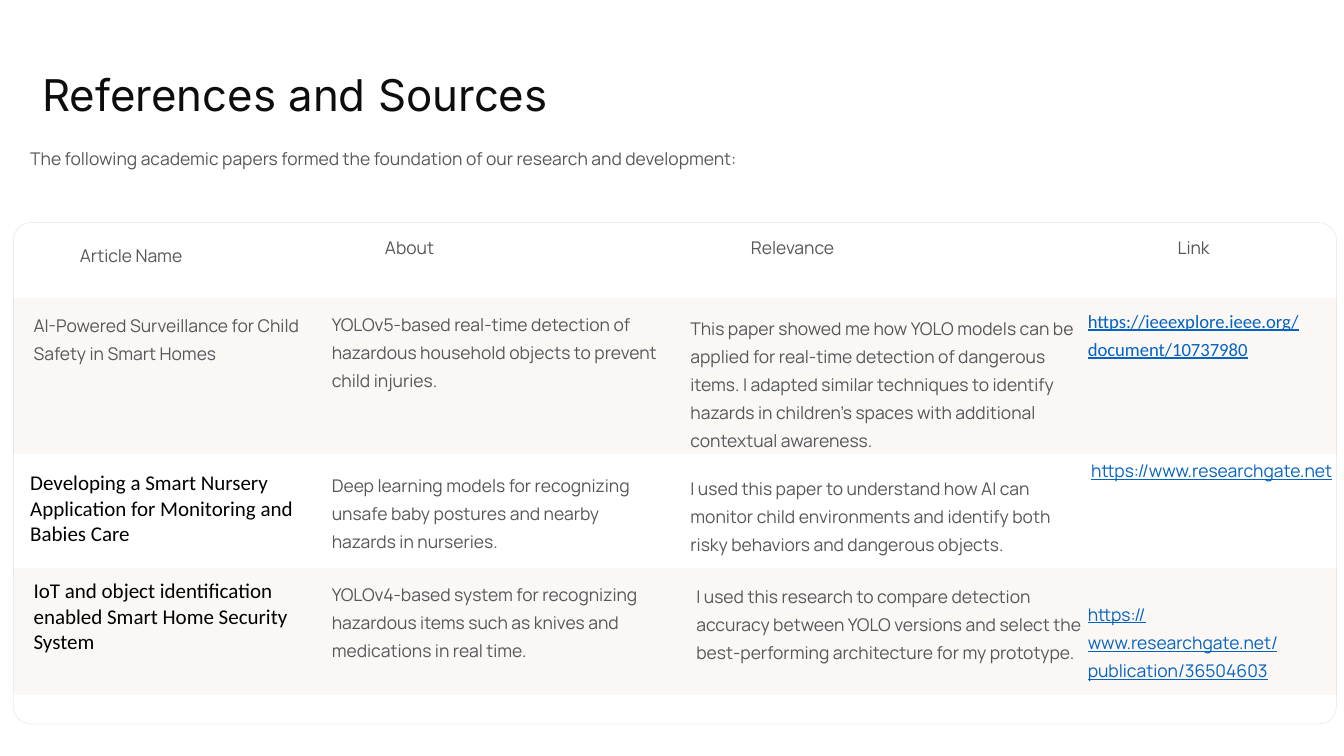
from lxml import etree
from pptx import Presentation
from pptx import util as u
from pptx.dml.color import RGBColor
from pptx.enum import shapes, text
from pptx.oxml import ns

Pt = u.Pt
COLORS = {"title": "0C0D0F", "body": "55575A", "name": "000000",
          "link": "0563C1", "frame": "000000", "band": "843C0B"}
NO_GRID_STYLE = "{2D5ABB26-0587-4C30-8999-92F81FD0307C}"
LEFT, TOP = 11.5, 190.8
COLUMN_WIDTHS = [268.5, 308, 344, 213.5]
ROW_HEIGHTS = [64.8, 133.2, 97.9, 108.7]

# Text styles: font, size, colour, line spacing, underline
STYLES = {
    "title": ("Inter", 37.5, "title", Pt(47), False),
    "body": ("Manrope", 15, "body", Pt(24), False),
    "name": ("Calibri", 18, "name", 1.0, False),
    "link": ("Manrope", 15, "link", Pt(24), True),
    "paper link": ("Calibri", 16, "link", Pt(24), True),
}


def write(box, content, style, left=0, top=0, right=0):
    font_name, size, color, spacing, underline = STYLES[style]
    box.margin_left, box.margin_top = Pt(left), Pt(top)
    box.margin_right, box.margin_bottom = Pt(right), 0
    box.vertical_anchor = text.MSO_ANCHOR.TOP
    text_frame = getattr(box, "text_frame", box)
    text_frame.text = content
    paragraph = text_frame.paragraphs[0]
    paragraph.alignment = text.PP_ALIGN.LEFT
    paragraph.line_spacing = spacing
    font = paragraph.runs[0].font
    font.name = font_name
    font.size = Pt(size)
    font.underline = underline
    font.color.rgb = RGBColor.from_string(COLORS[color])


def paint(fill, color, opacity):
    fill.solid()
    fill.fore_color.rgb = RGBColor.from_string(COLORS[color])
    for rgb in fill._xPr.iter(ns.qn("a:srgbClr")):
        etree.SubElement(rgb, ns.qn("a:alpha")).set("val", str(opacity * 1000))


presentation = Presentation()
presentation.slide_width, presentation.slide_height = Pt(1152), Pt(648)
slide = presentation.slides.add_slide(presentation.slide_layouts[5])

# Title and introduction
title = slide.shapes.title
title.left, title.top, title.width, title.height = Pt(36), Pt(56), Pt(436), Pt(47)
intro = slide.shapes.add_textbox(Pt(25.9), Pt(121), Pt(1046), Pt(24))
for shape, content, style in [
    (title, "References and Sources", "title"),
    (intro, "The following academic papers formed the foundation of our "
            "research and development:", "body"),
]:
    write(shape.text_frame, content, style)
    shape.text_frame.word_wrap = False
    shape.text_frame.auto_size = text.MSO_AUTO_SIZE.NONE

# Rounded frame
frame = slide.shapes.add_shape(shapes.MSO_SHAPE.ROUNDED_RECTANGLE,
                               Pt(LEFT), Pt(TOP), Pt(1134), Pt(429.8))
frame.adjustments[0] = 0.035
frame.shadow.inherit = False
frame.fill.background()
paint(frame.line.fill, "frame", 8)
frame.line.width = Pt(0.6)

# Tinted bands behind the first and third papers
for row_index in (1, 3):
    band = slide.shapes.add_shape(
        shapes.MSO_SHAPE.RECTANGLE, Pt(LEFT), Pt(TOP + sum(ROW_HEIGHTS[:row_index])),
        Pt(sum(COLUMN_WIDTHS)), Pt(ROW_HEIGHTS[row_index]))
    band.shadow.inherit = False
    band.line.fill.background()
    paint(band.fill, "band", 4)

# Table cells: left, top and right margin, text, style
ROWS = [
    [(57, 14.5, 0, "Article Name", "body"),
     (50, 8, 0, "About", "body"),
     (55.7, 8, 0, "Relevance", "body"),
     (77.4, 8, 0, "Link", "body")],
    [(17.3, 10.1, 20, "AI-Powered Surveillance for Child Safety in Smart Homes", "body"),
     (4.4, 9, 20, "YOLOv5-based real-time detection of hazardous household "
                  "objects to prevent child injuries.", "body"),
     (3.8, 12.3, 0, "This paper showed me how YOLO models can be applied for "
                    "real-time detection of dangerous items. I adapted similar "
                    "techniques to identify hazards in children's spaces with "
                    "additional contextual awareness.", "body"),
     (0.4, 6, 0, "https://ieeexplore.ieee.org/document/10737980", "paper link")],
    [(14.4, 14.4, 20, "Developing a Smart Nursery Application for Monitoring "
                      "and Babies Care", "name"),
     (4.4, 14, 20, "Deep learning models for recognizing unsafe baby postures "
                   "and nearby hazards in nurseries.", "body"),
     (3.8, 16.6, 0, "I used this paper to understand how AI can monitor child "
                    "environments and identify both risky behaviors and "
                    "dangerous objects.", "body"),
     (3.3, 1.5, 0, "https://www.researchgate.net", "link")],
    [(17.3, 9.2, 20, "IoT and object identification enabled Smart Home "
                     "Security System", "name"),
     (4.4, 9.4, 20, "YOLOv4-based system for recognizing hazardous items such "
                    "as knives and medications in real time.", "body"),
     (8.9, 11.1, 0, "I used this research to compare detection accuracy between "
                    "YOLO versions and select the best-performing architecture "
                    "for my prototype.", "body"),
     (0.4, 26.7, 11.5, "https://www.researchgate.net/publication/36504603", "link")],
]

# References table
table = slide.shapes.add_table(len(ROWS), len(COLUMN_WIDTHS), Pt(LEFT), Pt(TOP),
                               Pt(sum(COLUMN_WIDTHS)), Pt(sum(ROW_HEIGHTS))).table
table.first_row = table.horz_banding = False
table._tbl.tblPr[0].text = NO_GRID_STYLE
for column, width in zip(table.columns, COLUMN_WIDTHS):
    column.width = Pt(width)
for row, height, contents in zip(table.rows, ROW_HEIGHTS, ROWS):
    row.height = Pt(height)
    for cell, (left, top, right, content, style) in zip(row.cells, contents):
        write(cell, content, style, left, top, right)
        cell.fill.background()

presentation.save("out.pptx")
